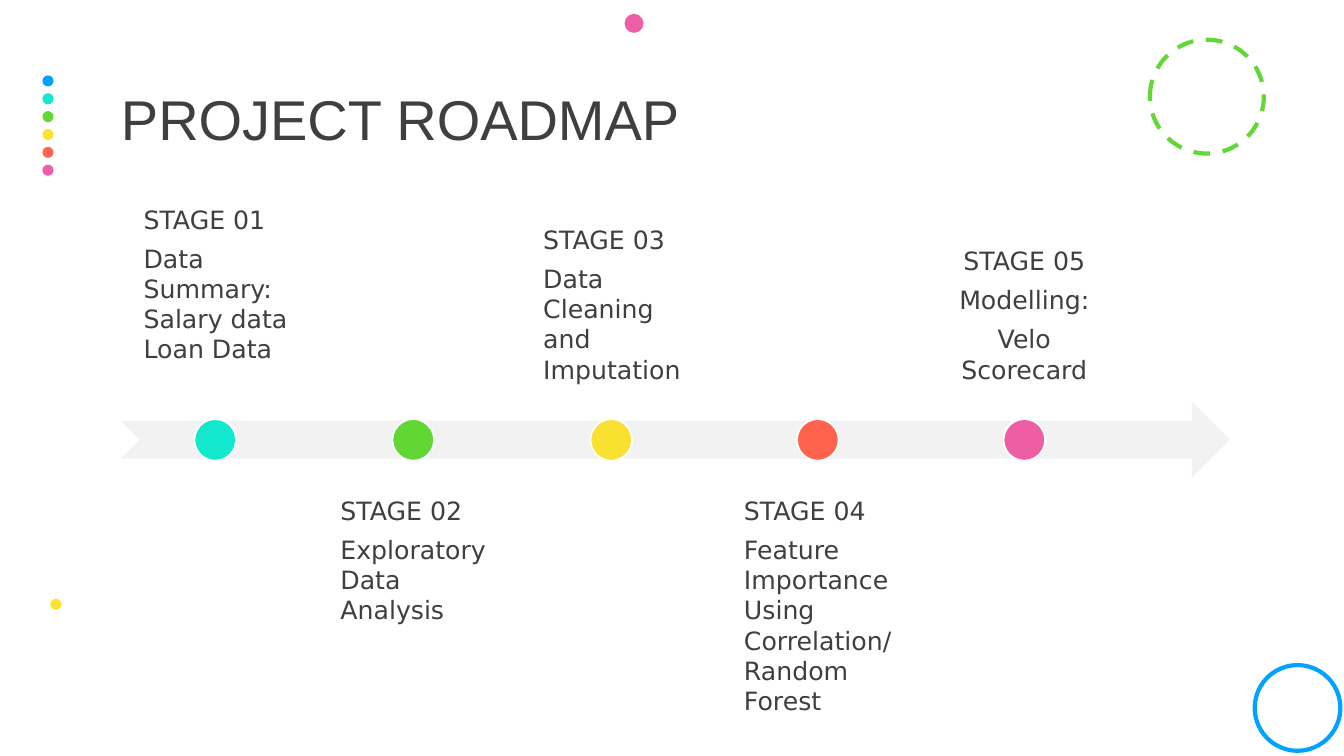
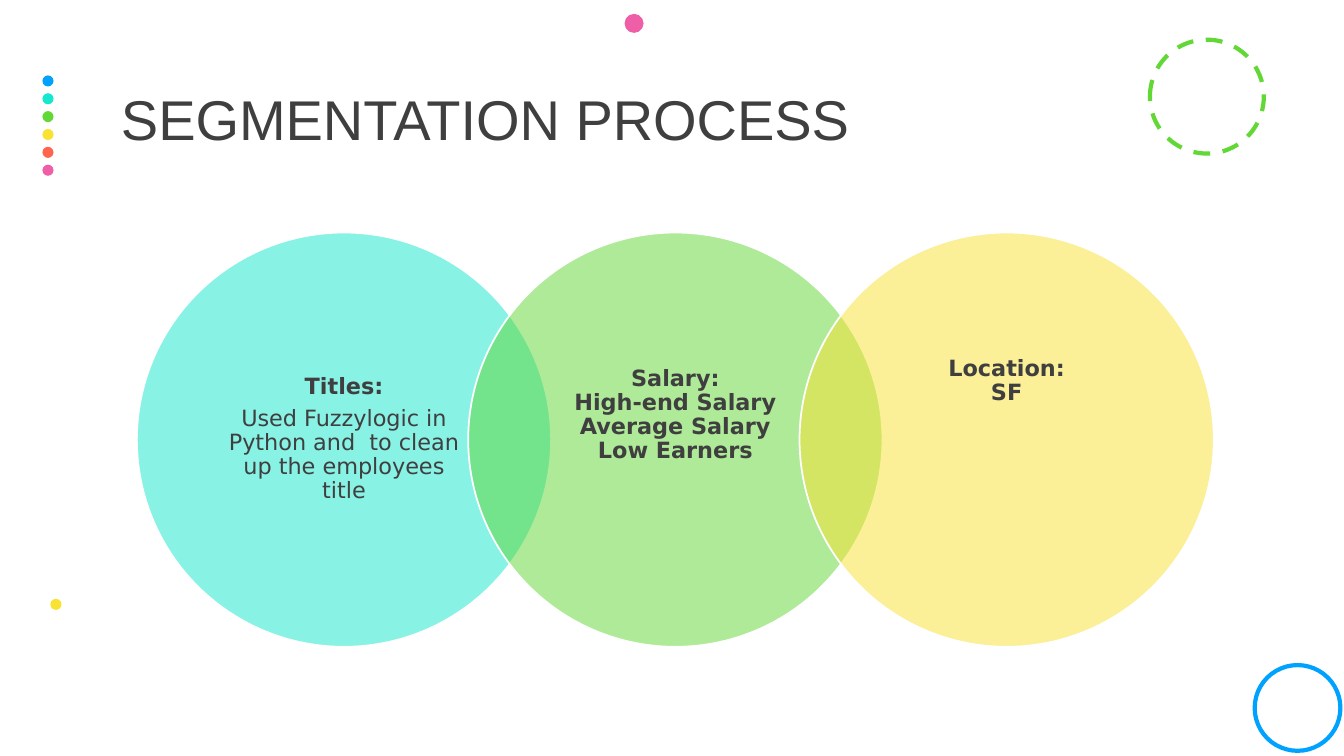
from lxml import etree
from pptx import Presentation
from pptx.dml.color import RGBColor
from pptx.enum.dml import MSO_LINE
from pptx.enum.shapes import MSO_SHAPE
from pptx.enum.text import MSO_ANCHOR, PP_ALIGN
from pptx.oxml.ns import qn
from pptx.util import Cm, Pt

OVAL = MSO_SHAPE.OVAL
ARROW = MSO_SHAPE.NOTCHED_RIGHT_ARROW
DASH = MSO_LINE.DASH
TOP, MIDDLE, BOTTOM = MSO_ANCHOR.TOP, MSO_ANCHOR.MIDDLE, MSO_ANCHOR.BOTTOM
LEFT, CENTER = PP_ALIGN.LEFT, PP_ALIGN.CENTER

BLUE, TEAL, GREEN = "00A2FF", "16E7CF", "61D836"
YELLOW, CORAL, PINK = "FAE232", "FF644E", "EF5FA7"
WHITE, GRAY, INK = "FFFFFF", "F2F2F2", "3F3F3F"
ACCENTS = ["13E7CD", "60D735", "F9E131", "FF634D", "EE5EA5"]


def rgb(color):
    return RGBColor.from_string(color)


def apply(target, values):
    for name, value in values.items():
        setattr(target, name, value)


class Deck:
    title_font = "Arial"
    body_font = "DejaVu Sans"
    margin = 3.05
    content_width = 27.94

    def __init__(self):
        self.prs = Presentation()
        self.prs.slide_width, self.prs.slide_height = Cm(33.87), Cm(19.05)
        self.s = None

    def slide(self, title):
        self.s = self.prs.slides.add_slide(self.prs.slide_layouts[6])
        for i, color in enumerate([BLUE, TEAL, GREEN, YELLOW, CORAL, PINK]):
            self.circle(1.07, 1.9 + i * 0.45, 0.28, color)
        self.circle(28.98, 1, 2.87, line=GREEN, width=3, dash=DASH)
        self.circle(15.74, 0.35, 0.48, PINK)
        self.circle(1.27, 15.09, 0.28, YELLOW)
        self.circle(31.62, 16.76, 2.16, line=BLUE, width=3)
        self.text((self.margin, 1.17, self.content_width, 3.81), [(title, {})],
                  40, (0, 0.13), MIDDLE, font=self.title_font, spacing=0.9)

    def shape(self, kind, box, fill=None, line=None, width=1.25, dash=None, alpha=None):
        sp = self.s.shapes.add_shape(kind, *map(Cm, box))
        sp.shadow.inherit = False
        if fill:
            sp.fill.solid()
            sp.fill.fore_color.rgb = rgb(fill)
            if alpha:
                color = sp._element.spPr.find(qn("a:solidFill"))[0]
                etree.SubElement(color, qn("a:alpha"), val=str(alpha * 1000))
        else:
            sp.fill.background()
        if line:
            sp.line.color.rgb = rgb(line)
            apply(sp.line, {"width": Pt(width), "dash_style": dash})
        else:
            sp.line.fill.background()

    def circle(self, left, top, size, fill=None, **style):
        self.shape(OVAL, (left, top, size, size), fill, **style)

    def text(self, box, lines, size, inset, anchor, align=LEFT, indent=0,
             font=body_font, spacing=1.0):
        tf = self.s.shapes.add_textbox(*map(Cm, box)).text_frame
        side, edge = inset
        apply(tf, {"word_wrap": True, "vertical_anchor": anchor,
                   "margin_left": Cm(side + indent), "margin_right": Cm(side),
                   "margin_top": Cm(edge), "margin_bottom": Cm(edge)})
        for i, (line, extra) in enumerate(lines):
            p = tf.paragraphs[0] if i == 0 else tf.add_paragraph()
            apply(p, {"alignment": align, "line_spacing": spacing,
                      "space_before": Pt(extra.get("before", 0))})
            r = p.add_run()
            r.text = line
            apply(r.font, {"name": font, "size": Pt(size), "bold": extra.get("bold", False)})
            r.font.color.rgb = rgb(INK)


def roadmap(deck):
    deck.slide("PROJECT ROADMAP")
    deck.shape(ARROW, (deck.margin, 10.13, deck.content_width, 1.9), GRAY)
    gap, marker, above, below = 0.24, 1.05, 5.85, 12.12
    head, lead = {}, {"before": 6.3}
    stages = [
        (4.75, above - 0.51, BOTTOM, LEFT, 0.21,
         [("Data Summary:", lead), ("Salary data", {}), ("Loan Data", {})]),
        (4.75, below, TOP, LEFT, 0.18, [("Exploratory Data Analysis", lead)]),
        (4.75, above, BOTTOM, LEFT, 0.3, [("Data Cleaning and Imputation", lead)]),
        (5.18, below, TOP, LEFT, 0.37,
         [("Feature Importance", lead), ("Using Correlation/ Random Forest", {})]),
        (4.75, above, BOTTOM, CENTER, 0, [("Modelling:", lead), ("Velo Scorecard", lead)]),
    ]
    left = deck.margin
    for i, (width, top, anchor, align, indent, lines) in enumerate(stages):
        deck.text((left, top, width, 4.19), [(f"STAGE {i + 1:02}", head)] + lines,
                  18, (0.36, 0.36), anchor, align, indent)
        deck.circle(left + (width - marker) / 2, 10.56, marker, ACCENTS[i], line=WHITE)
        left += width + gap


def segmentation(deck):
    deck.slide("SEGMENTATION PROCESS")
    diameter, step, inset = 10.44, 8.35, 1.52
    side = diameter - 2 * inset
    bold = {"bold": True}
    groups = [
        (7.37, [("Titles:", bold),
                ("Used Fuzzylogic in Python and  to clean up the employees title",
                 {"before": 5.6})]),
        (6.77, [("Salary:", bold), ("High-end Salary", bold),
                ("Average Salary", bold), ("Low Earners", bold)]),
        (5.91, [("Location:", bold), ("SF", bold)]),
    ]
    for i, (top, lines) in enumerate(groups):
        left = 3.45 + i * step
        deck.circle(left, 5.86, diameter, ACCENTS[i], line=WHITE, alpha=50)
        deck.text((left + inset, top, side, side), lines, 16, (0.58, 0.05),
                  MIDDLE, CENTER, spacing=0.9)


def main():
    deck = Deck()
    roadmap(deck)
    segmentation(deck)
    deck.prs.save("out.pptx")


if __name__ == "__main__":
    main()
